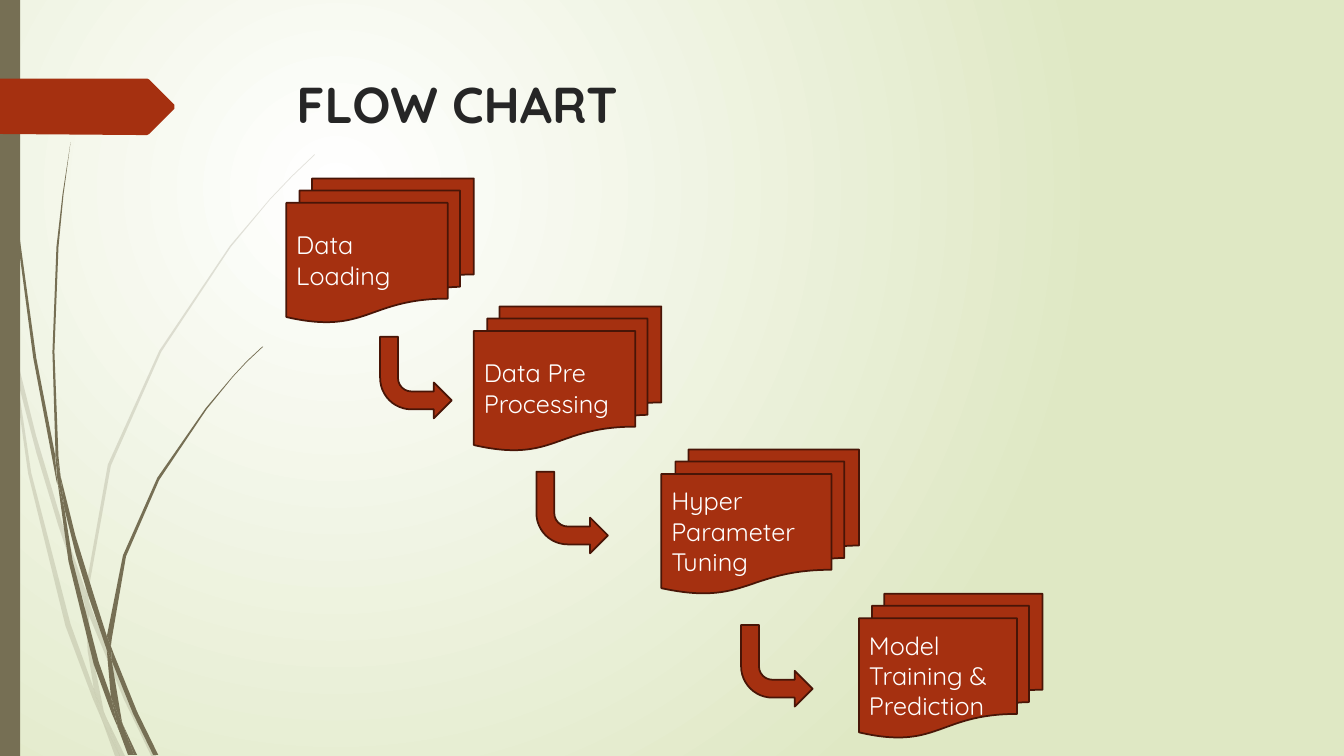
from lxml import etree
from pptx import Presentation
from pptx.dml.color import RGBColor
from pptx.enum.shapes import MSO_SHAPE
from pptx.enum.text import MSO_ANCHOR, PP_ALIGN
from pptx.oxml.ns import qn
from pptx.util import Inches, Pt

RUST = RGBColor(0xA5, 0x30, 0x10)
DARK_RUST = RGBColor(0x48, 0x15, 0x07)
OLIVE = RGBColor(0x76, 0x6F, 0x54)
PALE_GREEN = RGBColor(0xDF, 0xE8, 0xC4)
WHITE = RGBColor(0xFF, 0xFF, 0xFF)
CHARCOAL = RGBColor(0x26, 0x26, 0x26)
FONT = "Quicksand"

# Outline points are in hundredths of an inch.
FAINT_GRASS = [
    [(11, 350), (9, 322), (0, 282), (0, 299), (10, 344)],
    [(58, 522), (84, 599), (85, 586), (62, 520), (36, 433), (14, 345), (17, 376), (36, 449)],
    [(92, 607), (88, 596), (88, 610), (123, 694), (150, 750), (155, 750), (127, 692)],
    [(119, 750), (124, 750), (105, 711)],
    [(93, 683), (70, 619), (31, 469), (17, 376), (11, 350), (28, 470), (65, 621), (92, 693),
     (101, 714), (99, 707)],
    [(84, 599), (87, 646), (93, 683), (96, 692), (105, 711), (103, 706), (91, 646), (88, 610),
     (88, 608)],
    [(88, 584), (110, 462), (160, 349), (229, 245), (268, 198), (290, 175), (312, 154),
     (312, 153), (289, 175), (268, 197), (228, 244), (158, 348), (107, 461), (85, 584),
     (85, 586), (88, 596)],
    [(101, 714), (114, 750), (119, 750)],
    [(88, 608), (88, 610), (88, 596), (85, 586), (84, 599)],
    [(96, 692), (93, 683), (99, 707), (101, 714), (119, 750), (105, 711)],
]
SOLID_GRASS = [
    [(7, 110), (17, 233), (33, 355), (56, 477), (57, 481), (55, 457), (55, 453), (36, 355),
     (19, 232), (8, 109), (5, 48), (4, 0), (3, 0), (4, 48)],
    [(88, 592), (106, 645), (106, 633), (106, 631), (93, 590), (75, 532), (60, 472), (64, 505),
     (75, 549)],
    [(113, 649), (110, 641), (111, 656), (132, 708), (152, 749), (157, 749), (136, 706)],
    [(110, 691), (98, 657), (72, 556), (64, 505), (57, 477), (68, 557), (93, 659), (111, 708),
     (117, 722), (116, 717)],
    [(60, 472), (58, 453), (54, 349), (58, 245), (63, 193), (70, 141), (62, 193), (56, 245),
     (52, 349), (55, 449)],
    [(133, 749), (136, 749), (122, 719)],
    [(57, 477), (64, 505), (60, 472), (55, 449), (55, 453)],
    [(111, 633), (125, 552), (158, 476), (205, 406), (231, 374), (245, 359), (261, 344),
     (260, 344), (245, 358), (231, 373), (204, 405), (156, 474), (122, 551), (106, 631),
     (110, 641)],
    [(117, 722), (127, 749), (131, 749)],
    [(106, 645), (110, 691), (116, 706), (122, 719), (121, 716), (111, 656), (109, 651)],
    [(106, 645), (109, 651), (111, 656), (110, 641), (106, 631), (106, 633)],
    [(116, 706), (110, 691), (116, 717), (117, 722), (130, 749), (133, 749), (122, 719)],
]
TITLE_TAG = [(173, 108), (148, 133), (146, 134), (136, 134), (0, 133), (0, 78), (146, 78),
             (148, 79), (173, 104)]


def paint(shape, fill, outline=None):
    shape.shadow.inherit = False
    shape.fill.solid()
    shape.fill.fore_color.rgb = fill
    if outline is None:
        shape.line.fill.background()
    else:
        shape.line.color.rgb = outline
        shape.line.width = Pt(1.25)


def draw_outline(parent, points, fill):
    builder = parent.build_freeform(*points[0], scale=Inches(0.01))
    builder.add_line_segments(points[1:], close=True)
    outline = builder.convert_to_shape()
    paint(outline, fill)
    return outline


prs = Presentation()
prs.slide_width, prs.slide_height = Inches(13.33), Inches(7.5)
slide = prs.slides.add_slide(prs.slide_layouts[6])
shapes = slide.shapes

backdrop = slide.background.fill
backdrop.gradient()
for stop, color in zip(backdrop.gradient_stops, (WHITE, PALE_GREEN)):
    stop.color.rgb = color
gradient = slide.element.find(".//" + qn("a:gradFill"))
gradient.remove(gradient.find(qn("a:lin")))
glow = etree.SubElement(gradient, qn("a:path"), path="circle")
etree.SubElement(glow, qn("a:fillToRect"), l="50000", t="50000", r="100000", b="100000")

for blades, opacity in ((FAINT_GRASS, 20), (SOLID_GRASS, 100)):
    tuft = shapes.add_group_shape().shapes
    for points in blades:
        blade = draw_outline(tuft, points, OLIVE)
        if opacity < 100:
            tint = blade.element.spPr.find(qn("a:solidFill"))[0]
            etree.SubElement(tint, qn("a:alpha"), val=str(opacity * 1000))

side_bar = shapes.add_shape(MSO_SHAPE.RECTANGLE, 0, 0, Inches(0.2), prs.slide_height)
paint(side_bar, OLIVE)
draw_outline(shapes, TITLE_TAG, RUST)

title = shapes.add_textbox(Inches(2.84), Inches(0.68), Inches(9.75), Inches(1.4)).text_frame
title.word_wrap = True
heading = title.paragraphs[0].add_run()
heading.text = "FLOW CHART"
heading.font.name = FONT
heading.font.size = Pt(36)
heading.font.bold = True
heading.font.color.rgb = CHARCOAL

STEPS = [
    ("Data Loading", 2.84, 1.77, 1.86),
    ("Data Pre Processing", 4.7, 3.04, 1.86),
    ("Hyper Parameter Tuning", 6.56, 4.46, 1.96),
    ("Model Training & Prediction", 8.52, 5.89, 1.82),
]
for label, left, top, width in STEPS:
    step = shapes.add_shape(MSO_SHAPE.FLOWCHART_MULTIDOCUMENT, Inches(left), Inches(top),
                            Inches(width), Inches(1.43))
    paint(step, RUST, DARK_RUST)
    step.text_frame.word_wrap = True
    step.text_frame.vertical_anchor = MSO_ANCHOR.MIDDLE
    paragraph = step.text_frame.paragraphs[0]
    paragraph.alignment = PP_ALIGN.LEFT
    caption = paragraph.add_run()
    caption.text = label
    caption.font.name = FONT
    caption.font.size = Pt(18)
    caption.font.color.rgb = WHITE

for left, top in ((3.77, 3.34), (5.32, 4.68), (7.35, 6.2)):
    arrow = shapes.add_shape(MSO_SHAPE.BENT_ARROW, Inches(left), Inches(top),
                             Inches(0.71), Inches(0.81))
    paint(arrow, RUST, DARK_RUST)
    arrow.element.spPr.find(qn("a:xfrm")).set("flipV", "1")

prs.save("out.pptx")
